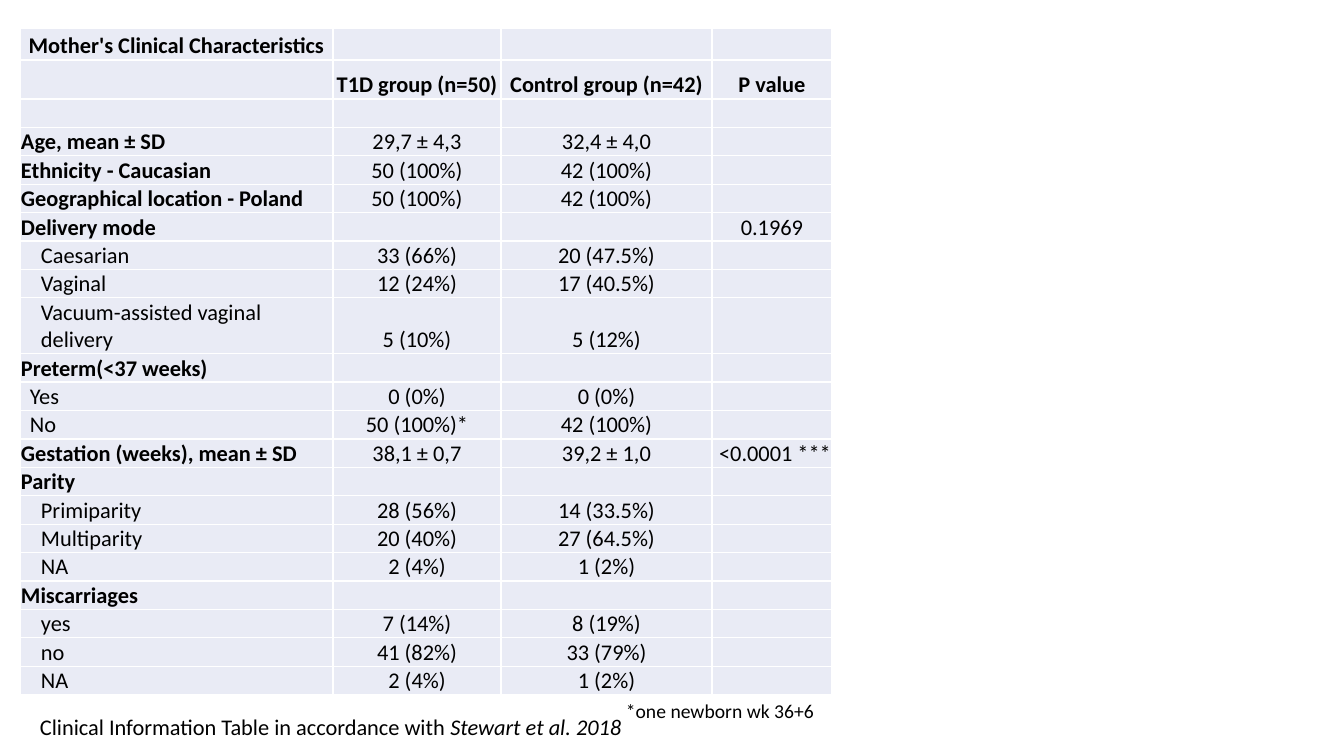
from lxml import etree
from pptx import Presentation
from pptx import util as u
from pptx.dml.color import RGBColor
from pptx.enum import text
from pptx.oxml import ns

PX = 12192000 / 1344
BLACK = RGBColor(0x00, 0x00, 0x00)
WHITE = RGBColor(0xFF, 0xFF, 0xFF)
PALE_BLUE = RGBColor(0xE9, 0xEB, 0xF5)
FONT = "Calibri"
BODY_SIZE = 16
NOTE_SIZE = 14

COLUMN_WIDTHS = (313, 168, 211, 120)
ROW_HEIGHT = 28
SPECIAL_HEIGHTS = {0: 32, 1: 39, 9: 55}
HEADER_ROWS = 2
CELL_MARGIN = 1
GROUP, ANSWER, OPTION = 0, 9, 20

ROWS = (
    (GROUP, "Mother's Clinical Characteristics", "", "", ""),
    (GROUP, "", "T1D group (n=50)", "Control group (n=42)", "P value"),
    (GROUP, "", "", "", ""),
    (GROUP, "Age, mean ± SD", "29,7 ± 4,3", "32,4 ± 4,0", ""),
    (GROUP, "Ethnicity - Caucasian", "50 (100%)", "42 (100%)", ""),
    (GROUP, "Geographical location - Poland", "50 (100%)", "42 (100%)", ""),
    (GROUP, "Delivery mode", "", "", "0.1969"),
    (OPTION, "Caesarian", "33 (66%)", "20 (47.5%)", ""),
    (OPTION, "Vaginal", "12 (24%)", "17 (40.5%)", ""),
    (OPTION, "Vacuum-assisted vaginal delivery", "5 (10%)", "5 (12%)", ""),
    (GROUP, "Preterm(<37 weeks)", "", "", ""),
    (ANSWER, "Yes", "0 (0%)", "0 (0%)", ""),
    (ANSWER, "No", "50 (100%)*", "42 (100%)", ""),
    (GROUP, "Gestation (weeks), mean ± SD", "38,1 ± 0,7", "39,2 ± 1,0", "<0.0001 ***"),
    (GROUP, "Parity", "", "", ""),
    (OPTION, "Primiparity", "28 (56%)", "14 (33.5%)", ""),
    (OPTION, "Multiparity", "20 (40%)", "27 (64.5%)", ""),
    (OPTION, "NA", "2 (4%)", "1 (2%)", ""),
    (GROUP, "Miscarriages", "", "", ""),
    (OPTION, "yes", "7 (14%)", "8 (19%)", ""),
    (OPTION, "no", "41 (82%)", "33 (79%)", ""),
    (OPTION, "NA", "2 (4%)", "1 (2%)", ""),
)


def px(length):
    return u.Emu(round(length * PX))


def style_font(font, size, bold=False):
    font.name = FONT
    font.size = u.Pt(size)
    font.bold = bold
    font.color.rgb = BLACK


def add_borders(cell):
    properties = cell._tc.get_or_add_tcPr()
    for position, side in enumerate(("lnL", "lnR", "lnT", "lnB")):
        line = etree.Element(ns.qn(f"a:{side}"), w=str(u.Pt(1)))
        fill = etree.SubElement(line, ns.qn("a:solidFill"))
        etree.SubElement(fill, ns.qn("a:srgbClr"), val=str(WHITE))
        properties.insert(position, line)


def fill_cell(cell, words, bold, align, indent):
    cell.fill.solid()
    cell.fill.fore_color.rgb = PALE_BLUE
    add_borders(cell)
    cell.vertical_anchor = text.MSO_ANCHOR.BOTTOM
    cell.margin_left = px(CELL_MARGIN + indent)
    cell.margin_top = cell.margin_right = px(CELL_MARGIN)
    cell.margin_bottom = 0
    cell.text = words
    para = cell.text_frame.paragraphs[0]
    para.alignment = align
    style_font(para.font, BODY_SIZE, bold)
    if not words:
        etree.SubElement(para._p, ns.qn("a:endParaRPr"), sz=str(BODY_SIZE * 100))


def add_clinical_table(page, left, top):
    heights = [SPECIAL_HEIGHTS.get(i, ROW_HEIGHT) for i in range(len(ROWS))]
    frame = page.shapes.add_table(
        len(ROWS), len(COLUMN_WIDTHS), px(left), px(top),
        px(sum(COLUMN_WIDTHS)), px(sum(heights)))
    table = frame.table
    table.first_row = False
    table.horz_banding = False
    for column, width in zip(table.columns, COLUMN_WIDTHS):
        column.width = px(width)
    for i, (indent, *values) in enumerate(ROWS):
        table.rows[i].height = px(heights[i])
        for j, words in enumerate(values):
            align = text.PP_ALIGN.CENTER
            if j == 0 and i > 0:
                align = text.PP_ALIGN.LEFT
            elif words.startswith("<"):
                align = text.PP_ALIGN.RIGHT
            bold = i < HEADER_ROWS or (j == 0 and indent == GROUP)
            fill_cell(table.cell(i, j), words, bold, align, indent if j == 0 else 0)


def add_note(page, left, top, width, height, size, plain, italic=""):
    box = page.shapes.add_textbox(px(left), px(top), px(width), px(height))
    box.text_frame.word_wrap = True
    box.text_frame.auto_size = text.MSO_AUTO_SIZE.SHAPE_TO_FIT_TEXT
    para = box.text_frame.paragraphs[0]
    para.add_run().text = plain
    if italic:
        span = para.add_run()
        span.text = italic
        span.font.italic = True
    style_font(para.font, size)


def main():
    deck = Presentation()
    deck.slide_width, deck.slide_height = px(1344), px(756)
    page = deck.slides.add_slide(deck.slide_layouts[6])
    add_clinical_table(page, 20, 28)
    add_note(page, 616, 694, 336, 34, NOTE_SIZE, "*one newborn wk 36+6")
    add_note(page, 30, 708, 730, 37, BODY_SIZE,
             "Clinical Information Table in accordance with ", "Stewart et al. 2018")
    deck.save("out.pptx")


if __name__ == "__main__":
    main()
